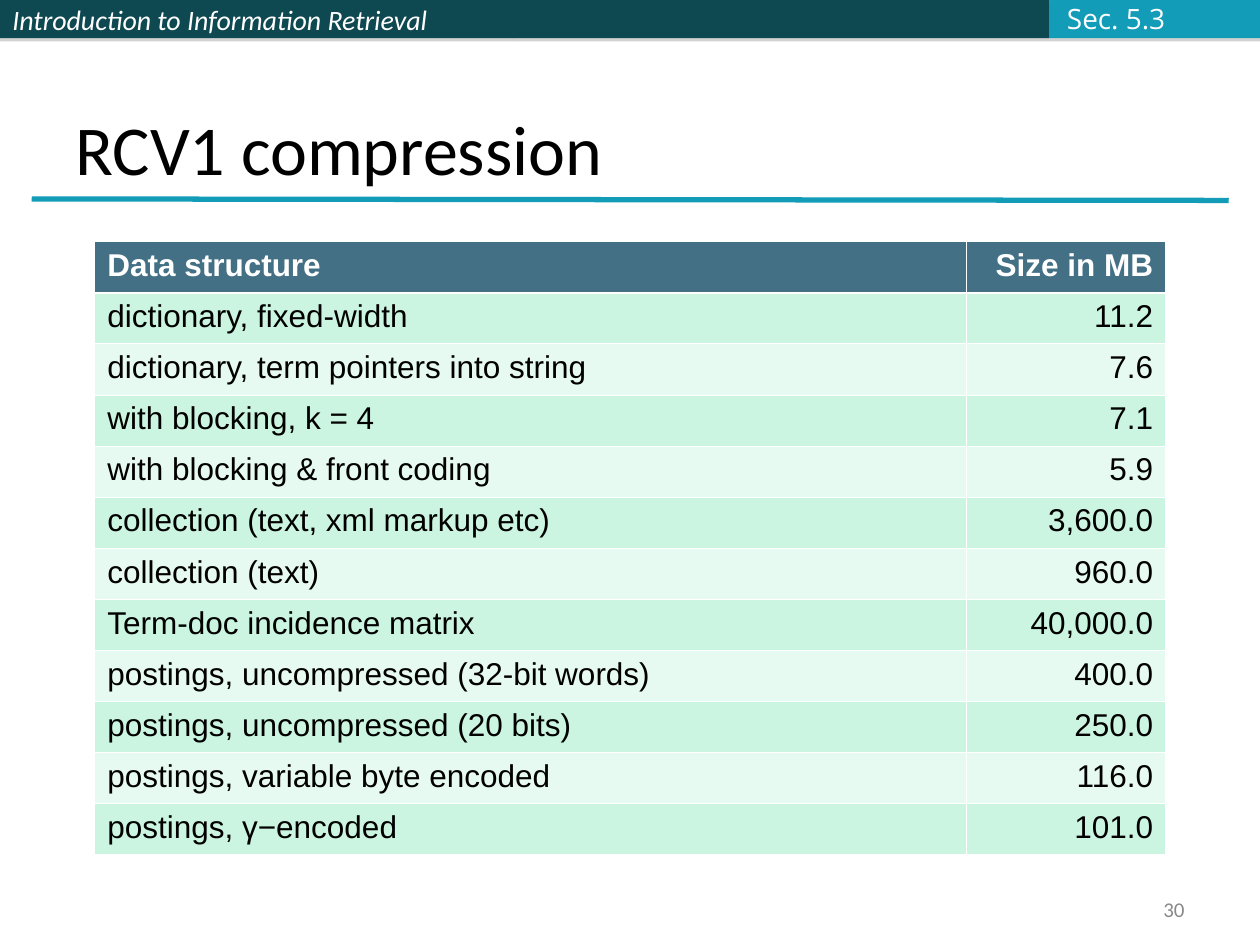
"""Build the RCV1 compression slide: header band, title, rule and size table."""
from dataclasses import dataclass

from lxml.etree import SubElement
from pptx import Presentation
from pptx.dml.color import RGBColor
from pptx.enum.shapes import MSO_CONNECTOR as Connector, MSO_SHAPE as Shape
from pptx.enum.text import MSO_ANCHOR as Anchor, PP_ALIGN as Align
from pptx.oxml import parse_xml
from pptx.oxml.ns import nsdecls, qn
from pptx.util import Cm, Pt


@dataclass(frozen=True)
class Theme:
    dark: str = "0E4851"
    accent: str = "139CB7"
    header: str = "437085"
    bands: tuple = ("CBF5E1", "E7FAF1")
    white: str = "FFFFFF"
    section: str = "FBFCFF"
    black: str = "000000"
    grey: str = "898989"
    shadow: str = "808080"
    title_size: int = 40
    table_size: int = 18
    band_size: int = 16
    number_size: int = 12


theme = Theme()


def write(frame, text, font, size, color, align=Align.LEFT, anchor=Anchor.MIDDLE, bold=False, italic=False):
    frame.text = text
    frame.vertical_anchor = anchor
    para = frame.paragraphs[0]
    para.alignment = align
    span = para.runs[0]
    span.font.name = font
    span.font.size = Pt(size)
    span.font.color.rgb = RGBColor.from_string(color)
    span.font.bold = bold
    span.font.italic = italic


def add_border(cell, side, width):
    line = SubElement(cell._tc.get_or_add_tcPr(), qn(f"a:ln{side}"), w=str(Pt(width)))
    fill = SubElement(line, qn("a:solidFill"))
    SubElement(fill, qn("a:srgbClr"), val=theme.white)


deck = Presentation()
deck.slide_width, deck.slide_height = Cm(25.4), Cm(19.05)
page = deck.slides.add_slide(deck.slide_layouts[5])

bands = []
for left, width, color in ((0, 10.36, theme.dark), (10.36, 10.8, theme.dark), (21.16, 4.24, theme.accent)):
    band = page.shapes.add_shape(Shape.RECTANGLE, Cm(left), 0, Cm(width), Cm(0.77))
    band.fill.solid()
    band.fill.fore_color.rgb = RGBColor.from_string(color)
    band.line.fill.background()
    band._element.spPr.append(parse_xml(
        f'<a:effectLst {nsdecls("a")}><a:outerShdw blurRad="0" dist="{Pt(1.8)}" dir="5400000" rotWithShape="0">'
        f'<a:srgbClr val="{theme.shadow}"><a:alpha val="35000"/></a:srgbClr></a:outerShdw></a:effectLst>'))
    bands.append(band)
write(bands[0].text_frame, "Introduction to Information Retrieval", "Calibri", theme.band_size, theme.white, italic=True)

rule = page.shapes.add_connector(Connector.STRAIGHT, Cm(0.64), Cm(4.01), Cm(24.77), Cm(4.04))
rule.line.color.rgb = RGBColor.from_string(theme.accent)
rule.line.width = Pt(3)
SubElement(rule._element.spPr, qn("a:effectLst"))

title = page.shapes.title
title.left, title.top, title.width, title.height = Cm(1.27), Cm(0.76), Cm(22.86), Cm(3.18)
write(title.text_frame, "RCV1 compression", "Calibri", theme.title_size, theme.black, anchor=Anchor.BOTTOM)

rows = (
    ("Data structure", "Size in MB"),
    ("dictionary, fixed-width", "11.2"),
    ("dictionary, term pointers into string", "7.6"),
    ("with blocking, k = 4", "7.1"),
    ("with blocking & front coding", "5.9"),
    ("collection (text, xml markup etc)", "3,600.0"),
    ("collection (text)", "960.0"),
    ("Term-doc incidence matrix", "40,000.0"),
    ("postings, uncompressed (32-bit words)", "400.0"),
    ("postings, uncompressed (20 bits)", "250.0"),
    ("postings, variable byte encoded", "116.0"),
    ("postings, γ−encoded", "101.0"),
)
row_height = 1.03
table = page.shapes.add_table(
    len(rows), 2, Cm(1.91), Cm(4.87), Cm(21.59), Cm(row_height * len(rows))).table
table.columns[0].width, table.columns[1].width = Cm(17.58), Cm(4.01)
for row_index, row in enumerate(rows):
    table.rows[row_index].height = Cm(row_height)
    is_header = row_index == 0
    fill_color = theme.header if is_header else theme.bands[(row_index - 1) % 2]
    text_color = theme.white if is_header else theme.black
    for column_index, text in enumerate(row):
        cell = table.cell(row_index, column_index)
        for side in "LRTB":
            is_heavy = (row_index, side) in ((0, "B"), (1, "T"))
            add_border(cell, side, 1.47 if is_heavy else 0.45)
        cell.fill.solid()
        cell.fill.fore_color.rgb = RGBColor.from_string(fill_color)
        align = Align.RIGHT if column_index else Align.LEFT
        write(cell.text_frame, text, "Arial", theme.table_size, text_color, align, Anchor.TOP, bold=is_header)

section = page.shapes.add_textbox(Cm(21.26), Cm(-0.1), Cm(2.49), Cm(0.94))
section.text_frame.word_wrap = False
write(section.text_frame, "Sec. 5.3", "Open Sans", theme.band_size, theme.section)

number = page.shapes.add_textbox(Cm(18.21), Cm(17.98), Cm(5.92), Cm(0.69))
number.text_frame.word_wrap = True
write(number.text_frame, "30", "Calibri", theme.number_size, theme.grey, Align.RIGHT)

deck.save("out.pptx")
